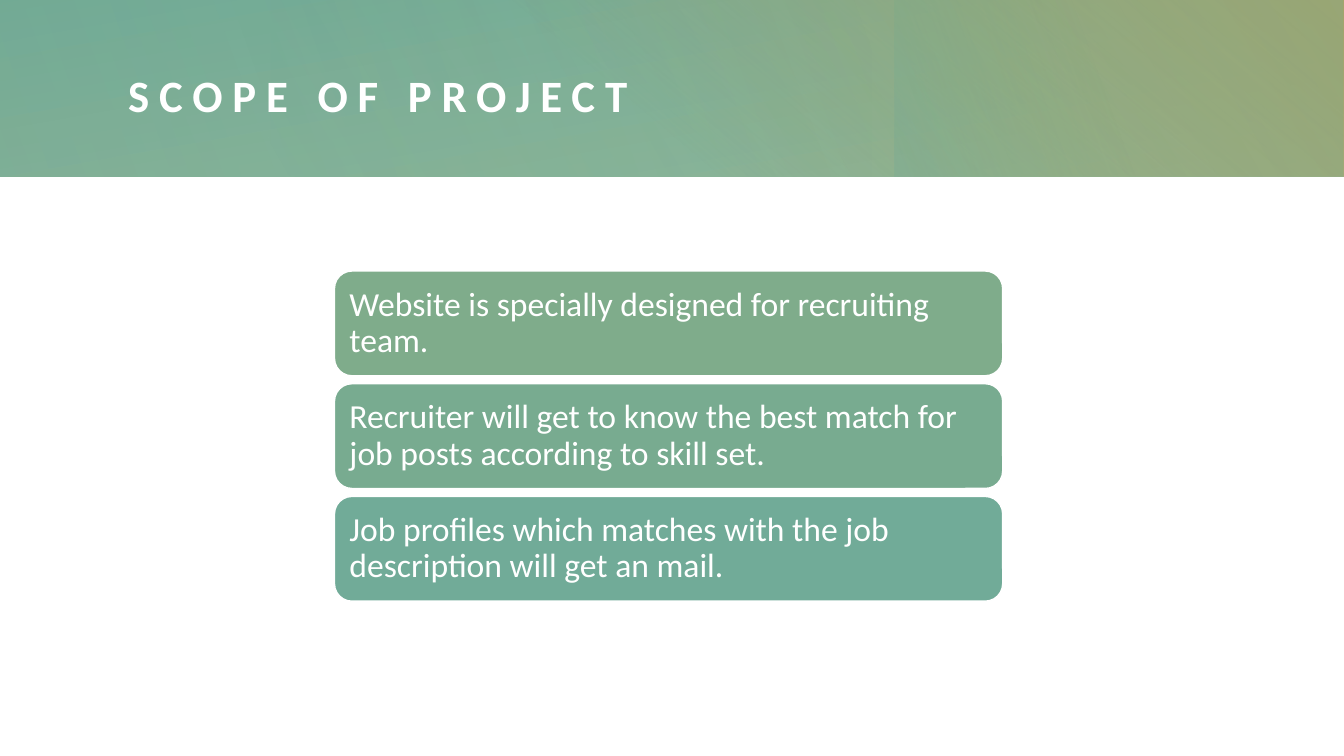
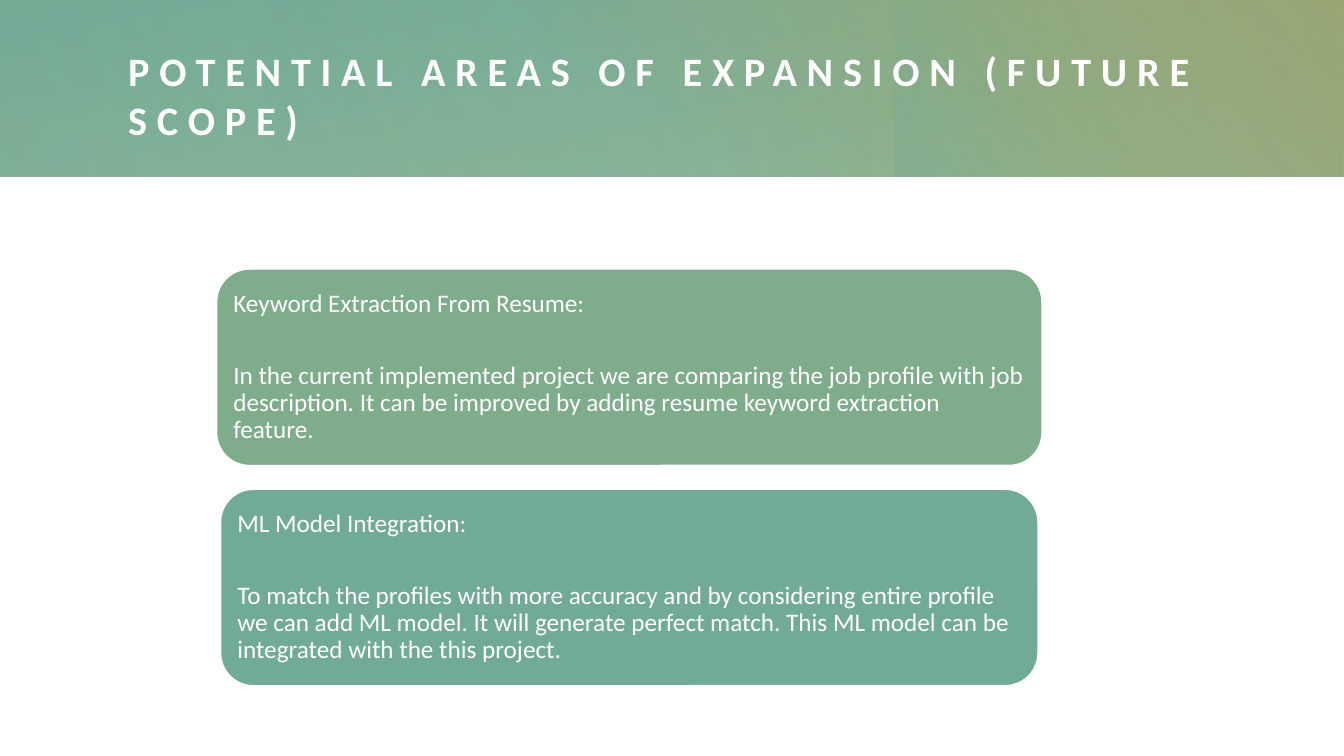
import pptx
import pptx.util
import pptx.dml.color
import pptx.enum.shapes
import pptx.enum.text
import pptx.oxml
import pptx.oxml.ns
from pptx.util import Cm
from lxml import etree

COLORS = {
    "white": "FFFFFF",
    "sage": "7FAC8B",
    "mid": "78AB90",
    "teal": "71AB98",
    "olive": "A4A46C",
    "green": "7BAC72",
}
FONT = "Calibri"
BAND_H = 4.45
BAND = [
    ((0, 0, 33.87, BAND_H), 0, 260, [(0, "sage", 83), (100, "teal", 100)]),
    ((12.22, 0, 21.65, BAND_H), 0, 310, [(22, "olive", 0), (99, "olive", 100)]),
    ((25.07, -2.53, BAND_H, 9.5), 270, 250, [(45, "green", 0), (99, "teal", 33)]),
    ((6.81, 0, 27.03, BAND_H), 180, 330, [(0, "sage", 30), (99, "sage", 0)]),
    ((0, 0, 21.97, BAND_H), 0, 340, [(0, "sage", 21), (99, "sage", 0)]),
]
SCOPE = [
    ("sage", "Website is specially designed for recruiting team."),
    ("mid", "Recruiter will get to know the best match for job posts according to skill set."),
    ("teal", "Job profiles which matches with the job description will get an mail."),
]
EXPANSION = [
    ("sage", 20.8, "Keyword Extraction From Resume:",
     "In the current implemented project we are comparing the job profile with job "
     "description. It can be improved by adding resume keyword extraction feature."),
    ("teal", 20.6, "ML Model Integration:",
     "To match the profiles with more accuracy and by considering entire profile we can "
     "add ML model. It will generate perfect match. This ML model can be integrated with "
     "the this project."),
]


def rgb(name):
    return pptx.dml.color.RGBColor.from_string(COLORS[name])


def write(tf, *texts, size, bold=False, spacing=0, line=1.0, after=0, inset=0):
    tf.word_wrap = True
    tf.auto_size = pptx.enum.text.MSO_AUTO_SIZE.NONE
    tf.vertical_anchor = pptx.enum.text.MSO_ANCHOR.MIDDLE
    tf.margin_left = tf.margin_right = tf.margin_top = tf.margin_bottom = Cm(inset)
    for i, text in enumerate(texts):
        p = tf.paragraphs[0] if i == 0 else tf.add_paragraph()
        p.alignment = pptx.enum.text.PP_ALIGN.LEFT
        p.line_spacing = line
        p.space_before = pptx.util.Pt(0)
        p.space_after = pptx.util.Pt(after)
        r = p.add_run()
        r.text = text
        r.font.name = FONT
        r.font.size = pptx.util.Pt(size)
        r.font.bold = bold
        r.font.color.rgb = rgb("white")
        if spacing:
            r.font._element.set("spc", str(spacing * 100))


def add_box(s, kind, box):
    sp = s.shapes.add_shape(kind, *map(Cm, box))
    sp.shadow.inherit = False
    return sp


def add_gradient(s, box, rotation, angle, stops):
    sp = add_box(s, pptx.enum.shapes.MSO_SHAPE.RECTANGLE, box)
    sp.rotation = rotation
    sp.line.fill.background()
    qn = pptx.oxml.ns.qn
    grad = etree.Element(qn("a:gradFill"), rotWithShape="1")
    gs_list = etree.SubElement(grad, qn("a:gsLst"))
    for pos, color, alpha in stops:
        gs = etree.SubElement(gs_list, qn("a:gs"), pos=str(pos * 1000))
        clr = etree.SubElement(gs, qn("a:srgbClr"), val=COLORS[color])
        etree.SubElement(clr, qn("a:alpha"), val=str(alpha * 1000))
    etree.SubElement(grad, qn("a:lin"), ang=str(angle * 60000), scaled="0")
    sp._element.spPr.find(qn("a:prstGeom")).addnext(grad)
    return sp


def style_layout(layout, s):
    for i, band in enumerate(BAND):
        sp = add_gradient(s, *band)
        layout.shapes._spTree.insert(2 + i, sp._element)
    title = layout.placeholders[0]
    title.left, title.top, title.width, title.height = map(Cm, (3.23, 1.04, 28.83, 2.7))


def add_title(s, text, size):
    write(s.shapes.title.text_frame, text, size=size, bold=True, spacing=7)


def add_card(s, box, color, *texts, **fmt):
    sp = add_box(s, pptx.enum.shapes.MSO_SHAPE.ROUNDED_RECTANGLE, box)
    sp.fill.solid()
    sp.fill.fore_color.rgb = rgb(color)
    sp.line.color.rgb = rgb("white")
    sp.line.width = pptx.util.Pt(1)
    write(sp.text_frame, *texts, line=0.9, **fmt)


def main():
    prs = pptx.Presentation()
    prs.slide_width, prs.slide_height = Cm(33.87), Cm(19.05)
    layout = prs.slide_layouts[5]

    s = prs.slides.add_slide(layout)
    style_layout(layout, s)
    add_title(s, "SCOPE OF PROJECT", 32)
    for i, (color, text) in enumerate(SCOPE):
        add_card(s, (8.43, 6.83 + i * 2.84, 16.84, 2.64), color, text, size=24, inset=0.25)

    s = prs.slides.add_slide(layout)
    add_title(s, "POTENTIAL AREAS OF EXPANSION (FUTURE SCOPE)", 28.8)
    for i, (color, width, heading, text) in enumerate(EXPANSION):
        box = (15.86 - width / 2, 6.78 + i * 5.55, width, 4.95)
        add_card(s, box, color, heading, text, size=18, after=32, inset=0.18)

    prs.save("out.pptx")


if __name__ == "__main__":
    main()
